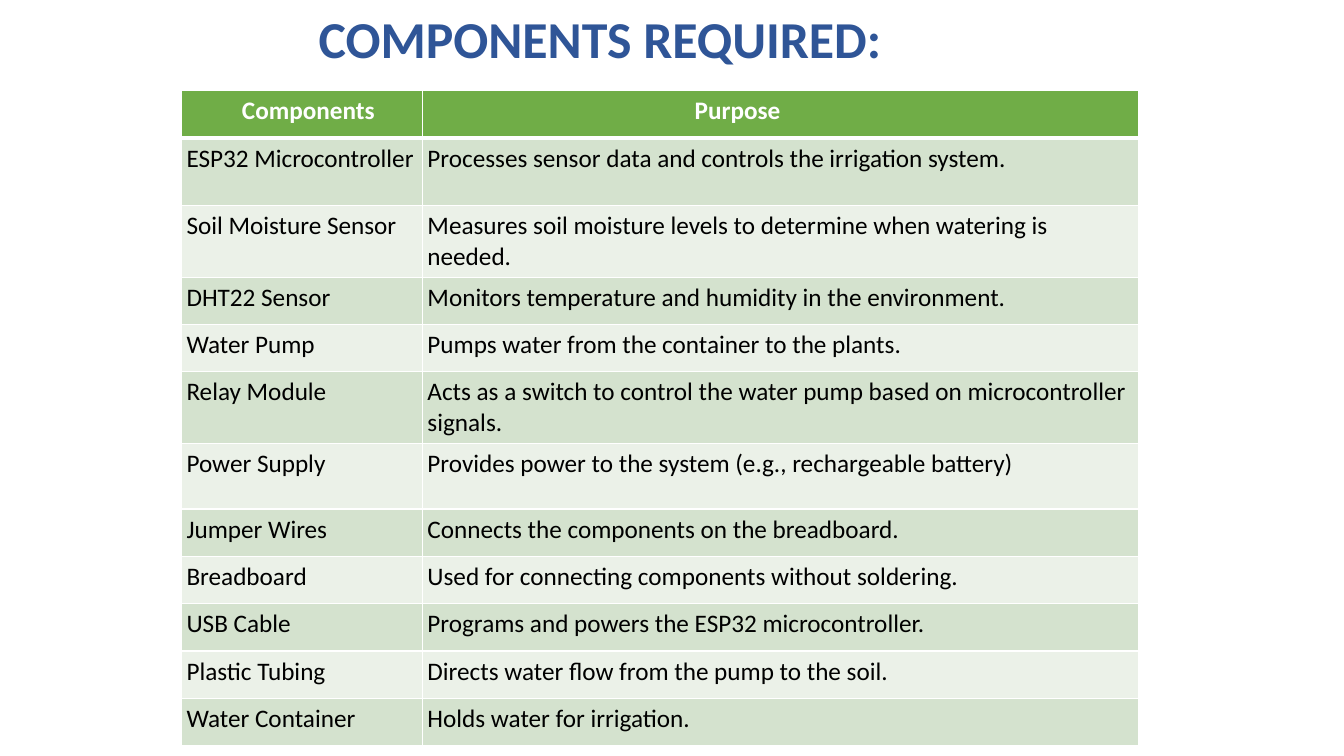
from lxml import etree
from pptx import Presentation
from pptx.dml.color import RGBColor
from pptx.enum.text import MSO_ANCHOR, PP_ALIGN
from pptx.oxml.ns import qn
from pptx.util import Inches, Pt

MIDDLE, TOP = MSO_ANCHOR.MIDDLE, MSO_ANCHOR.TOP
LEFT = PP_ALIGN.LEFT
TITLE_ONLY = 5

COLORS = {
    "title": "2F5597",
    "header": "70AD47",
    "odd": "D4E2CE",
    "even": "EBF1E8",
    "white": "FFFFFF",
    "black": "000000",
}
HEADINGS = [("Components", 0.55), ("Purpose", 2.65)]  # text, indent in inches
COMPONENTS = [
    ("ESP32 Microcontroller", "Processes sensor data and controls the irrigation system."),
    ("Soil Moisture Sensor", "Measures soil moisture levels to determine when watering is needed."),
    ("DHT22 Sensor", "Monitors temperature and humidity in the environment."),
    ("Water Pump", "Pumps water from the container to the plants."),
    ("Relay Module", "Acts as a switch to control the water pump based on microcontroller signals."),
    ("Power Supply", "Provides power to the system (e.g., rechargeable battery)"),
    ("Jumper Wires", "Connects the components on the breadboard."),
    ("Breadboard", "Used for connecting components without soldering."),
    ("USB Cable", "Programs and powers the ESP32 microcontroller."),
    ("Plastic Tubing", "Directs water flow from the pump to the soil."),
    ("Water Container", "Holds water for irrigation."),
]
COLUMN_WIDTHS = [2.39, 7.1]
ROW_HEIGHT = 0.47
TALL_ROWS = {1: 0.67, 2: 0.67, 5: 0.67, 6: 0.65}


class SlideBuilder:
    """Holds the text style and the current slide."""

    def __init__(self, page):
        self.page = page
        self.font = "Calibri"
        self.inset = Inches(0.05)

    def add_text(self, para, text, size, color, bold=False):
        para.alignment = LEFT
        span = para.add_run()
        span.text = text
        span.font.name = self.font
        span.font.size = Pt(size)
        span.font.bold = bold
        span.font.color.rgb = RGBColor.from_string(COLORS[color])

    def pad(self, box):
        box.margin_left = box.margin_right = self.inset
        box.margin_top = box.margin_bottom = self.inset

    def title(self, text, left, top, width, height):
        box = self.page.shapes.title
        box.left, box.top = Inches(left), Inches(top)
        box.width, box.height = Inches(width), Inches(height)
        frame = box.text_frame
        frame.word_wrap = True
        frame.vertical_anchor = MIDDLE
        self.pad(frame)
        para = frame.paragraphs[0]
        para.line_spacing = 0.9
        self.add_text(para, text, 37, "title", bold=True)

    def table(self, left, top, widths, heights):
        table = self.page.shapes.add_table(
            len(heights), len(widths), Inches(left), Inches(top),
            Inches(sum(widths)), Inches(sum(heights))).table
        for column, width in zip(table.columns, widths):
            column.width = Inches(width)
        for row, height in zip(table.rows, heights):
            row.height = Inches(height)
        return table

    def cell(self, cell, text, fill, color, bold=False, indent=0, top=1, bottom=1):
        self.pad(cell)
        cell.vertical_anchor = TOP
        cell.fill.solid()
        cell.fill.fore_color.rgb = RGBColor.from_string(COLORS[fill])
        self.borders(cell, {"lnL": 1, "lnR": 1, "lnT": top, "lnB": bottom})
        para = cell.text_frame.paragraphs[0]
        self.add_text(para, text, 18, color, bold)
        if indent:
            para._p.get_or_add_pPr().set("marL", str(Inches(indent)))

    def borders(self, cell, widths):
        properties = cell._tc.get_or_add_tcPr()
        for place, (side, width) in enumerate(widths.items()):
            line = etree.Element(qn("a:" + side), w=str(Pt(width)))
            solid = etree.SubElement(line, qn("a:solidFill"))
            etree.SubElement(solid, qn("a:srgbClr"), val=COLORS["white"])
            properties.insert(place, line)


def main():
    deck = Presentation()
    deck.slide_width, deck.slide_height = Inches(13.33), Inches(7.5)
    page = deck.slides.add_slide(deck.slide_layouts[TITLE_ONLY])
    builder = SlideBuilder(page)

    # Title
    builder.title("COMPONENTS REQUIRED:", 3.11, 0.1, 10.22, 0.62)

    # Table grid
    heights = [TALL_ROWS.get(row, ROW_HEIGHT) for row in range(len(COMPONENTS) + 1)]
    table = builder.table(1.8, 0.9, COLUMN_WIDTHS, heights)

    # Header row
    for column, (heading, indent) in enumerate(HEADINGS):
        builder.cell(table.cell(0, column), heading, "header", "white",
                     bold=True, indent=indent, bottom=3)

    # Banded component rows
    for row, texts in enumerate(COMPONENTS, start=1):
        band = "odd" if row % 2 else "even"
        for column, text in enumerate(texts):
            builder.cell(table.cell(row, column), text, band, "black",
                         top=3 if row == 1 else 1)

    deck.save("out.pptx")


if __name__ == "__main__":
    main()
